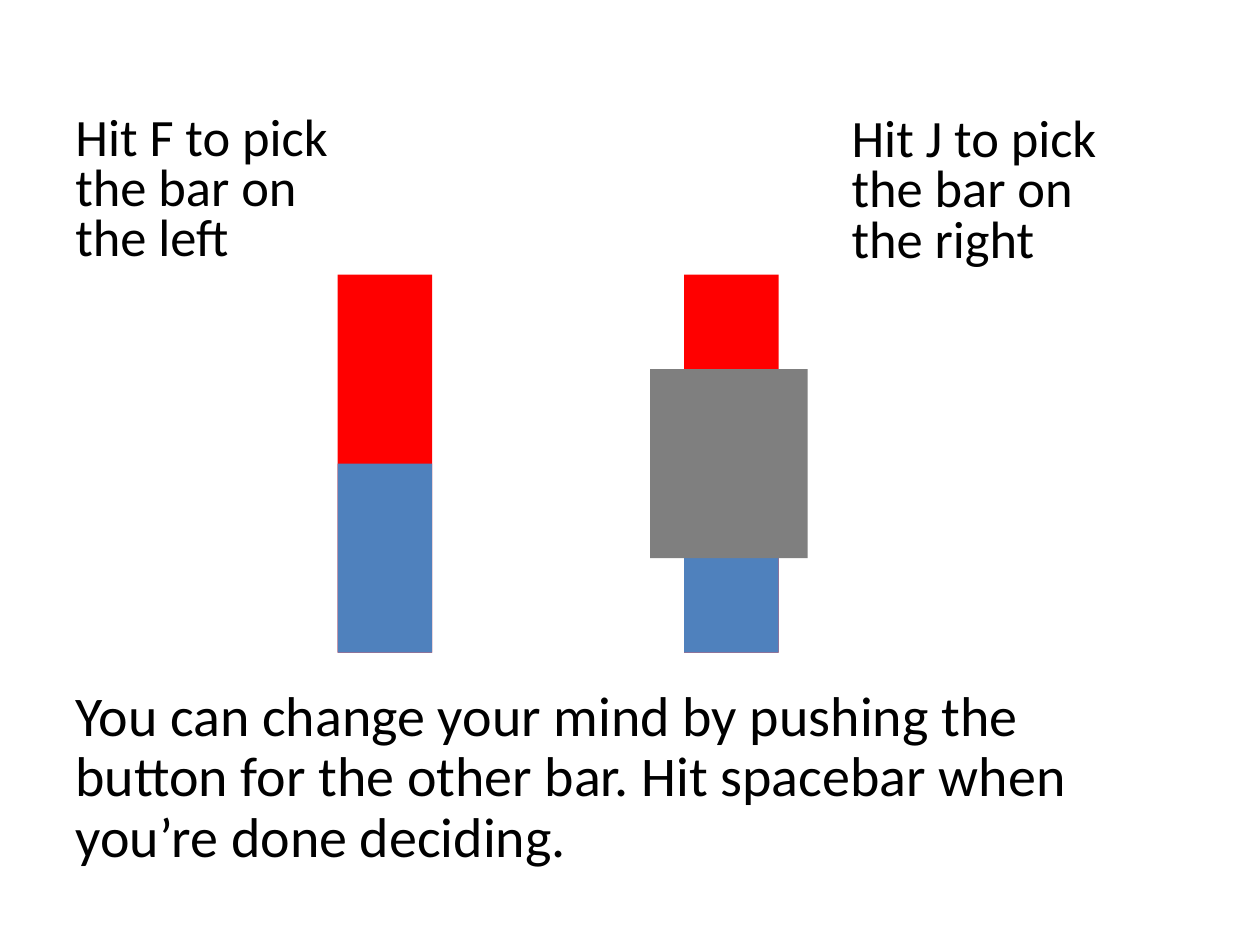
from dataclasses import dataclass

from pptx import Presentation
from pptx.dml.color import RGBColor
from pptx.enum.shapes import MSO_SHAPE
from pptx.shapes.group import GroupShape
from pptx.slide import Slide
from pptx.util import Inches, Pt

RECTANGLE = MSO_SHAPE.RECTANGLE
BLANK_LAYOUT = 6


@dataclass(frozen=True)
class Theme:
    font: str = "Calibri"
    text: RGBColor = RGBColor(0x00, 0x00, 0x00)
    red: RGBColor = RGBColor(0xFF, 0x00, 0x00)
    blue: RGBColor = RGBColor(0x4F, 0x81, 0xBD)
    cover: RGBColor = RGBColor(0x7F, 0x7F, 0x7F)
    choice_size: float = 30
    note_size: float = 32


@dataclass(frozen=True)
class Instruction:
    text: str
    left: float
    top: float
    width: float
    height: float
    size: float
    line_spacing: float
    space_before: float


THEME = Theme()
BAR_TOP, BAR_WIDTH, BAR_HEIGHT = 2.18, 0.75, 3
LEFT_BAR, RIGHT_BAR = 2.68, 5.43
COVER_LEFT, COVER_WIDTH = 5.16, 1.25


def choice(key: str, side: str, left: float, top: float) -> Instruction:
    return Instruction(f"Hit {key} to pick the bar on the {side}",
                       left, top, 2.52, 1.35, THEME.choice_size, 0.8, 7.5)


INSTRUCTIONS = (
    choice("F", "left", 0.5, 0.87),
    choice("J", "right", 6.66, 0.88),
    Instruction("You can change your mind by pushing the button for the other bar. "
                "Hit spacebar when you’re done deciding.",
                0.5, 5.41, 8.68, 1.55, THEME.note_size, 0.9, 8),
)


def add_instruction(slide: Slide, item: Instruction) -> None:
    box = slide.shapes.add_textbox(Inches(item.left), Inches(item.top),
                                   Inches(item.width), Inches(item.height))
    box.text_frame.word_wrap = True
    box.text_frame.text = item.text
    paragraph = box.text_frame.paragraphs[0]
    paragraph.line_spacing = item.line_spacing
    paragraph.space_before = Pt(item.space_before)
    font = paragraph.runs[0].font
    font.name = THEME.font
    font.size = Pt(item.size)
    font.color.rgb = THEME.text


def add_block(group: GroupShape, left: float, top: float, width: float,
              height: float, color: RGBColor) -> None:
    block = group.shapes.add_shape(RECTANGLE, Inches(left), Inches(top),
                                   Inches(width), Inches(height))
    block.shadow.inherit = False
    block.fill.solid()
    block.fill.fore_color.rgb = color
    block.line.fill.background()


def add_bar(slide: Slide, left: float) -> GroupShape:
    """Draw a red bar whose lower half is blue."""
    bar = slide.shapes.add_group_shape()
    half = BAR_HEIGHT / 2
    add_block(bar, left, BAR_TOP, BAR_WIDTH, BAR_HEIGHT, THEME.red)
    add_block(bar, left, BAR_TOP + half, BAR_WIDTH, half, THEME.blue)
    return bar


def main() -> None:
    presentation = Presentation()
    presentation.slide_width = Inches(10)
    presentation.slide_height = Inches(7.5)
    slide = presentation.slides.add_slide(presentation.slide_layouts[BLANK_LAYOUT])

    for instruction in INSTRUCTIONS:
        add_instruction(slide, instruction)
    add_bar(slide, LEFT_BAR)
    covered_bar = add_bar(slide, RIGHT_BAR)
    add_block(covered_bar, COVER_LEFT, BAR_TOP + BAR_HEIGHT / 4,
              COVER_WIDTH, BAR_HEIGHT / 2, THEME.cover)

    presentation.save("out.pptx")


if __name__ == "__main__":
    main()
